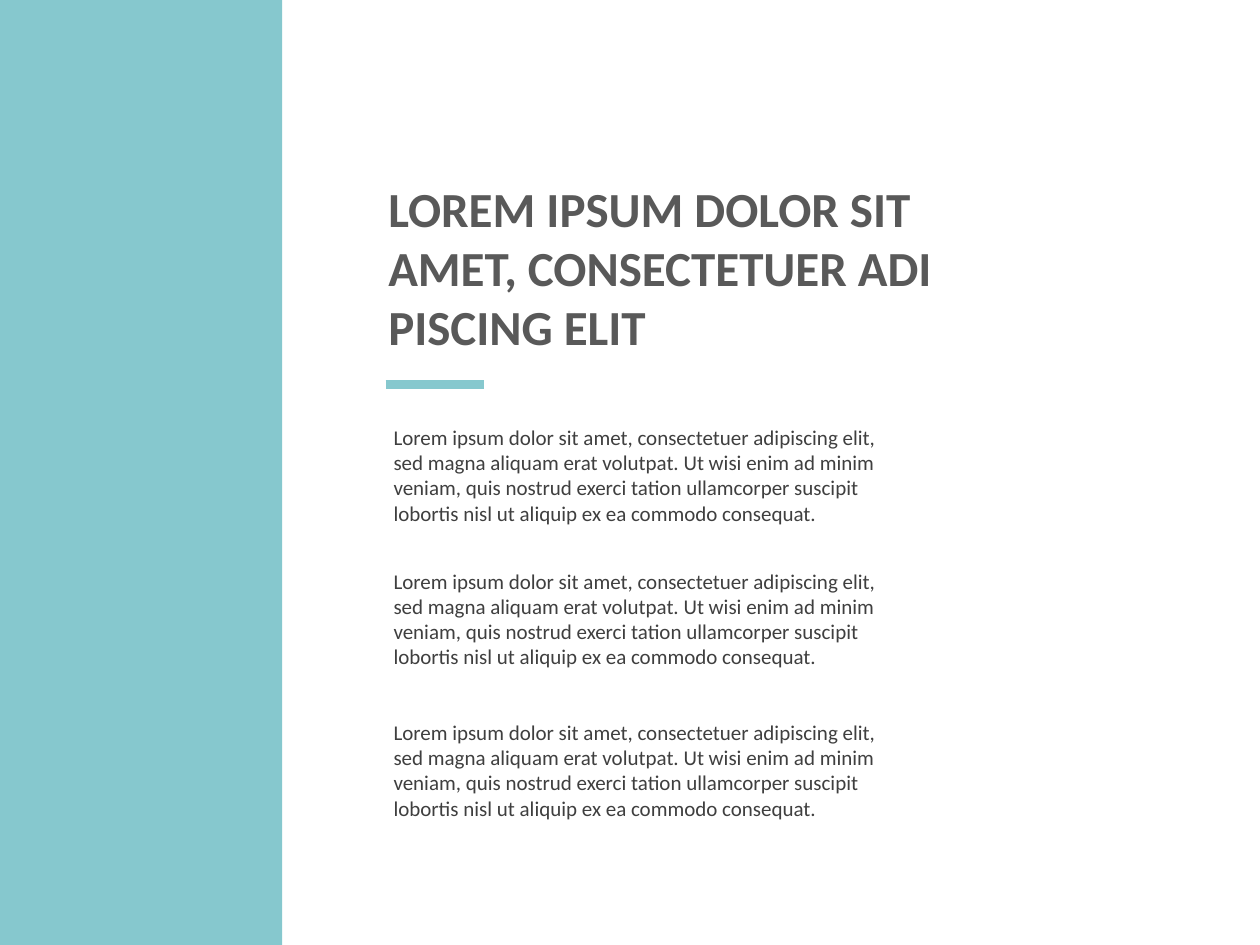
import pptx
import pptx.dml.color
import pptx.enum.shapes
import pptx.enum.text
import pptx.oxml
import pptx.util

Pt = pptx.util.Pt
Anchor = pptx.enum.text.MSO_ANCHOR
Align = pptx.enum.text.PP_ALIGN

# Content
HEADING = ["LOREM IPSUM DOLOR SIT", "AMET, CONSECTETUER ADI", "PISCING ELIT"]
BODY = ("Lorem ipsum dolor sit amet, consectetuer adipiscing elit, sed magna "
        "aliquam erat volutpat. Ut wisi enim ad minim veniam, quis nostrud "
        "exerci tation ullamcorper suscipit lobortis nisl ut aliquip ex ea "
        "commodo consequat.")

# Format and layout, in points
COLORS = {"accent": "86C8CE", "heading": "595959", "body": "3F3F3F"}
HEADING_FONT = {"name": "Calibri", "size": Pt(28), "bold": True}
BODY_FONT = {"name": "Calibri", "size": Pt(12), "bold": False}
INSET = 4.5
BODY_LEFT, BODY_WIDTH, BODY_HEIGHT = 220.4, 300.2, 66.2
BODY_TOPS = [238.3, 320.4, 406.8]


def color(name):
    return pptx.dml.color.RGBColor.from_string(COLORS[name])


def write(box, lines, font, color_name):
    frame = box.text_frame
    settings = {"word_wrap": True, "vertical_anchor": Anchor.MIDDLE,
                "auto_size": pptx.enum.text.MSO_AUTO_SIZE.NONE}
    for side in ("left", "top", "right", "bottom"):
        settings["margin_" + side] = Pt(INSET)
    for key, value in settings.items():
        setattr(frame, key, value)
    frame.text = "\n".join(lines)
    for para in frame.paragraphs:
        para.alignment = Align.LEFT
        for span in para.runs:
            for key, value in font.items():
                setattr(span.font, key, value)
            span.font.color.rgb = color(color_name)


deck = pptx.Presentation()
deck.slide_width, deck.slide_height = Pt(720), Pt(540)
slide = deck.slides.add_slide(deck.slide_layouts[5])
shapes = slide.shapes

# Side band
band = shapes.add_shape(pptx.enum.shapes.MSO_SHAPE.RECTANGLE,
                        Pt(-0.7), Pt(0), Pt(162), Pt(540))
band.shadow.inherit = False
band.fill.solid()
band.fill.fore_color.rgb = color("accent")
band.line.fill.background()

# Heading
title = shapes.title
for key, value in {"left": 217.4, "top": 97.9, "width": 414, "height": 109.4}.items():
    setattr(title, key, Pt(value))
write(title, HEADING, HEADING_FONT, "heading")

# Accent rule below the heading
rule = shapes.add_connector(pptx.enum.shapes.MSO_CONNECTOR.STRAIGHT,
                            Pt(BODY_LEFT), Pt(219.6), Pt(276.5), Pt(219.6))
rule.line.color.rgb = color("accent")
rule.line.width = Pt(5)
properties = rule._element.spPr
properties.append(pptx.oxml.parse_xml(
    '<a:effectLst xmlns:a="http://schemas.openxmlformats.org/drawingml/2006/main"/>'))

# Body texts
for top in BODY_TOPS:
    box = shapes.add_textbox(Pt(BODY_LEFT), Pt(top), Pt(BODY_WIDTH), Pt(BODY_HEIGHT))
    write(box, [BODY], BODY_FONT, "body")

deck.save("out.pptx")
